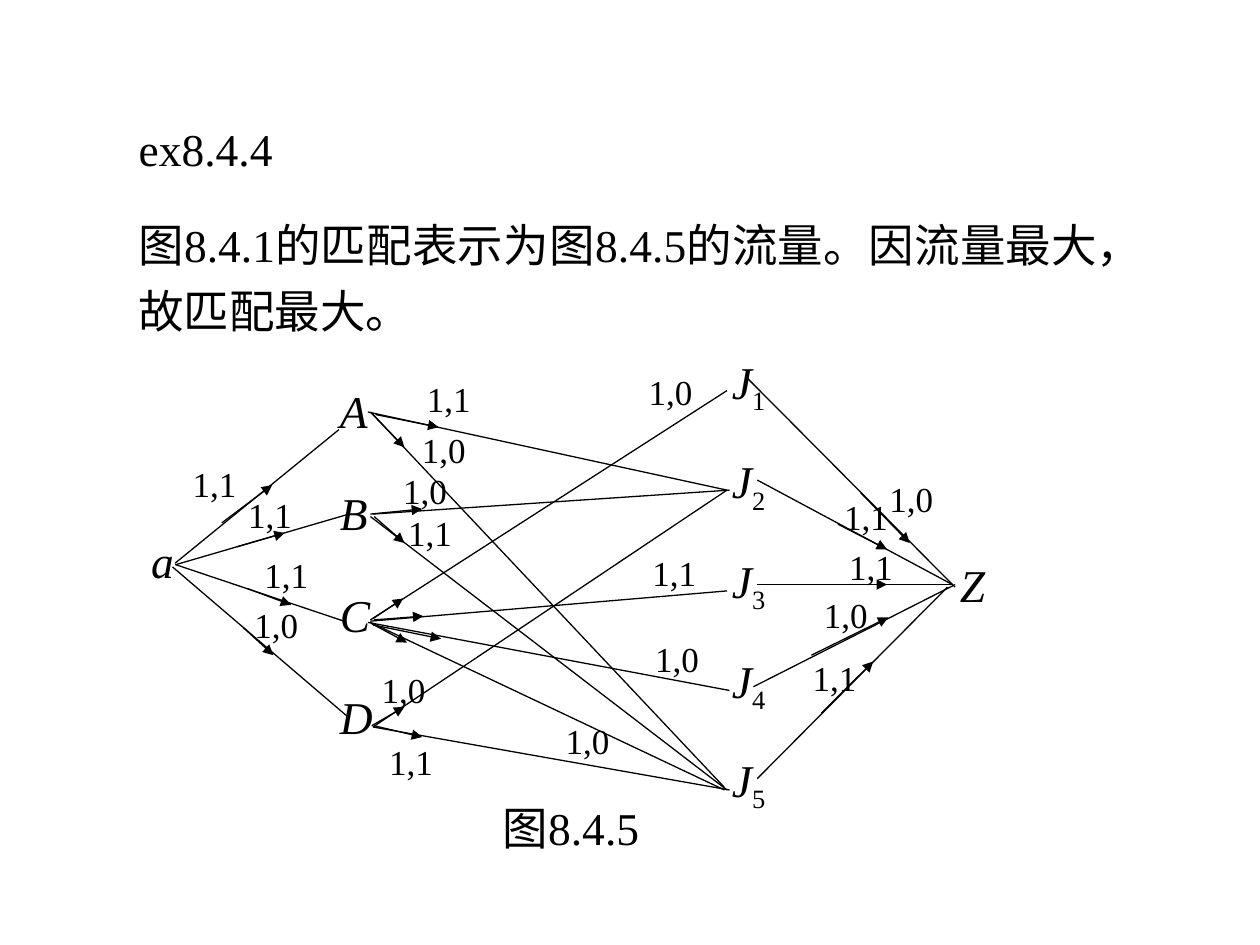
from lxml import etree
from pptx import Presentation
from pptx.dml.color import RGBColor
from pptx.enum import shapes, text
from pptx.oxml import ns
from pptx.util import Inches, Pt

COLORS = {"ink": "000000", "paper": "FFFFFF"}
FONT = "Times New Roman"
HEADING = "ex8.4.4"
STATEMENT = "图8.4.1的匹配表示为图8.4.5的流量。因流量最大，故匹配最大。"
CAPTION = "图8.4.5"

WORKERS = ["A", "B", "C", "D"]
JOBS = ["1", "2", "3", "4", "5"]
TERMINALS = [("a", 1.1, 4.18, 0.38), ("Z", 7.52, 4.37, 0.4)]

EDGES = {
    "a-A": ((1.39, 4.47, 2.69, 3.41), (1.76, 4.15, 2.16, 3.85), "1,1", (1.43, 3.62)),
    "a-B": ((1.4, 4.48, 2.77, 4.08), (1.88, 4.34, 2.26, 4.23), "1,1", (1.87, 3.87)),
    "a-C": ((1.39, 4.48, 2.73, 4.93), (1.96, 4.67, 2.31, 4.8), "1,1", (2, 4.34)),
    "a-D": ((1.37, 4.5, 2.75, 5.68), (1.93, 4.98, 2.17, 5.2), "1,0", (1.92, 4.74)),
    "A-J2": ((2.92, 3.27, 5.77, 3.89), (2.98, 3.29, 3.48, 3.39), "1,1", (3.29, 2.95)),
    "A-J5": ((2.96, 3.29, 5.75, 6.25), (2.94, 3.27, 3.21, 3.55), "1,0", (3.25, 3.35)),
    "B-J2": ((2.96, 4.08, 5.79, 3.89), (2.94, 4.08, 3.35, 4.04), "1,0", (3.1, 3.68)),
    "B-J5": ((2.94, 4.1, 5.77, 6.27), (2.97, 4.1, 3.21, 4.31), "1,1", (3.14, 4.01)),
    "C-J1": ((2.94, 4.92, 5.77, 3.1), (2.96, 4.91, 3.2, 4.75), "1,0", (5.05, 2.89)),
    "C-J3": ((2.94, 4.93, 5.77, 4.69), (2.97, 4.92, 3.36, 4.89), "1,1", (5.08, 4.33)),
    "C-J4": ((2.92, 4.94, 5.79, 5.48), (2.96, 4.96, 3.5, 5.07), "1,0", (5.1, 5.01)),
    "C-J5": ((2.94, 4.94, 5.75, 6.27), (2.95, 4.95, 3.23, 5.1), "1,0", (4.39, 5.66)),
    "D-J2": ((2.96, 5.77, 5.77, 3.89), (2.95, 5.76, 3.21, 5.61), "1,0", (2.93, 5.26)),
    "D-J5": ((2.96, 5.77, 5.79, 6.27), (2.97, 5.76, 3.35, 5.85), "1,1", (2.99, 5.83)),
    "J1-Z": ((5.93, 3, 7.58, 4.66), (6.83, 3.91, 7.22, 4.31), "1,0", (6.96, 3.74)),
    "J2-Z": ((6.01, 3.81, 7.56, 4.64), (6.65, 4.16, 7.04, 4.36), "1,1", (6.6, 3.88)),
    "J3-Z": ((6.01, 4.64, 7.56, 4.64), (6.47, 4.64, 7.04, 4.64), "1,1", (6.64, 4.28)),
    "J4-Z": ((5.98, 5.45, 7.58, 4.64), (6.44, 5.2, 7.05, 4.9), "1,0", (6.44, 4.66)),
    "J5-Z": ((6.01, 6.18, 7.52, 4.66), (6.52, 5.66, 6.93, 5.25), "1,1", (6.35, 5.16)),
}


def write(slide, words, left, top, width, height=0.54, shape=None, size=26,
          italic=False, subscript="", wrap=False, align=text.PP_ALIGN.LEFT, spacing=1.0):
    box = (Inches(left), Inches(top), Inches(width), Inches(height))
    if shape is None:
        shape = slide.shapes.add_textbox(*box)
    else:
        shape.left, shape.top, shape.width, shape.height = box
    frame = shape.text_frame
    frame.word_wrap = wrap
    frame.auto_size = text.MSO_AUTO_SIZE.SHAPE_TO_FIT_TEXT
    frame.vertical_anchor = text.MSO_ANCHOR.TOP
    paragraph = frame.paragraphs[0]
    paragraph.alignment = align
    paragraph.line_spacing = spacing
    paragraph._p.get_or_add_pPr().set("hangingPunct", "0")
    for part in filter(None, (words, subscript)):
        run = paragraph.add_run()
        run.text = part
        run.font.name = FONT
        run.font.size = Pt(size)
        run.font.italic = italic and part == words
        run.font.color.rgb = RGBColor.from_string(COLORS["ink"])
    if subscript:
        run.font._element.set("baseline", "-25000")


def draw_line(slide, points, arrow=False):
    line = slide.shapes.add_connector(shapes.MSO_CONNECTOR.STRAIGHT, *map(Inches, points))
    line.line.width = Pt(0.75)
    line.line.color.rgb = RGBColor.from_string(COLORS["ink"])
    if arrow:
        etree.SubElement(line.line._get_or_add_ln(), ns.qn("a:tailEnd"), type="triangle")
    etree.SubElement(line._element.spPr, ns.qn("a:effectLst"))


def main():
    presentation = Presentation()
    presentation.slide_width, presentation.slide_height = Inches(10), Inches(7.5)
    slide = presentation.slides.add_slide(presentation.slide_layouts[5])
    slide.background.fill.solid()
    slide.background.fill.fore_color.rgb = RGBColor.from_string(COLORS["paper"])

    prose = dict(wrap=True, align=text.PP_ALIGN.JUSTIFY, spacing=1.2)
    write(slide, HEADING, 1, 0.82, 8.17, 0.62, shape=slide.shapes.title, **prose)
    write(slide, STATEMENT, 1, 1.59, 8.17, 1.14, **prose)

    for row, worker in enumerate(WORKERS):
        write(slide, worker, 2.6, 2.99 + row * 0.81, 0.5, italic=True, wrap=True)
    for row, job in enumerate(JOBS):
        write(slide, "J", 5.71, 2.76 + row * 0.79, 0.48, 0.6, italic=True, subscript=job)
    for name, left, top, width in TERMINALS:
        write(slide, name, left, top, width, italic=True)

    for line, arrow, flow, (left, top) in EDGES.values():
        draw_line(slide, line)
        draw_line(slide, arrow, arrow=True)
        write(slide, flow, left, top, 0.55, 0.44, size=20)

    write(slide, CAPTION, 3.89, 6.3, 1.37)
    presentation.save("out.pptx")


if __name__ == "__main__":
    main()
